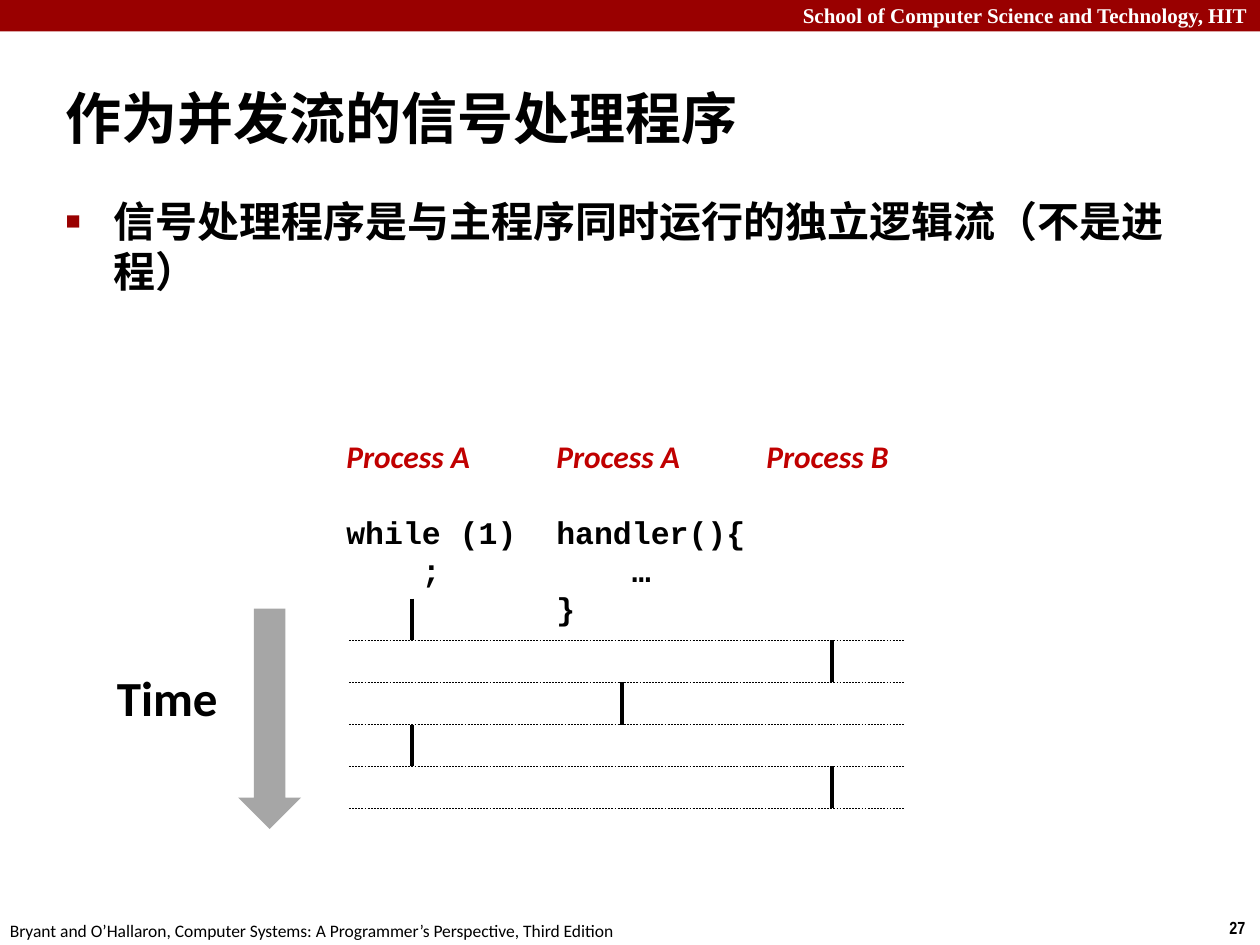
from dataclasses import dataclass

from lxml.etree import SubElement
from pptx import Presentation
from pptx.dml.color import RGBColor
from pptx.enum.dml import MSO_LINE
from pptx.enum.shapes import MSO_CONNECTOR, MSO_SHAPE
from pptx.enum.text import MSO_ANCHOR, MSO_AUTO_SIZE, PP_ALIGN
from pptx.oxml.ns import qn
from pptx.util import Inches, Pt


@dataclass(frozen=True)
class Theme:
    black: str = "000000"
    white: str = "FFFFFF"
    banner: str = "990000"
    process: str = "C00000"
    arrow: str = "A6A6A6"
    sans: str = "Calibri"
    serif: str = "Times New Roman"
    narrow: str = "Arial Narrow"
    code: str = "Courier New"
    title_size: int = 32
    time_size: int = 28
    body_size: int = 24
    lane_size: int = 18
    header_size: int = 12
    footer_size: int = 10


THEME = Theme()

# Content
HEADER = "School of Computer Science and Technology, HIT"
FOOTER = "Bryant and O’Hallaron, Computer Systems: A Programmer’s Perspective, Third Edition"
PAGE = "27"
TITLE = "作为并发流的信号处理程序"
POINT = "信号处理程序是与主程序同时运行的独立逻辑流（不是进程）"
TIME = "Time"
# Each lane: process name, then code lines as (indent in characters, text)
LANES = [
    ("Process A", [(0, "while (1)"), (4, ";")]),
    ("Process A", [(0, "handler(){"), (4, "…"), (0, "}")]),
    ("Process B", []),
]
RUNNING_LANES = [0, 2, 1, 0, 2]  # lane that runs in each time slot

# Grid
SLIDE_W, SLIDE_H = 10, 7.5
LANE_W = SLIDE_W / 6
LANE_LEFT, LANE_TOP = 2.65, 3.42
BAR_OFFSET = 0.62
SLOT_TOP, SLOT_H = 4.75, 1 / 3
RULE_LEFT, RULE_RIGHT = 2.77, 7.18
CODE_CHAR_W = 0.6 * THEME.lane_size  # points


def add_run(paragraph, text, size, font=THEME.sans, color=THEME.black, bold=True, italic=False):
    run = paragraph.add_run()
    run.text = text
    run.font.size = Pt(size)
    run.font.name = font
    run.font.bold = bold
    run.font.italic = italic
    run.font.color.rgb = RGBColor.from_string(color)


def add_box(slide, left, top, width, height, wrap=True):
    frame = slide.shapes.add_textbox(*map(Inches, (left, top, width, height))).text_frame
    frame.word_wrap = wrap
    return frame


def add_block(slide, preset, left, top, width, height, color):
    block = slide.shapes.add_shape(preset, *map(Inches, (left, top, width, height)))
    block.fill.solid()
    block.fill.fore_color.rgb = RGBColor.from_string(color)
    block.line.fill.background()
    block.shadow.inherit = False


def add_line(slide, x1, y1, x2, y2, width, dash=None):
    connector = slide.shapes.add_connector(
        MSO_CONNECTOR.STRAIGHT, *map(Inches, (x1, y1, x2, y2)))
    connector.line.color.rgb = RGBColor.from_string(THEME.black)
    connector.line.width = Pt(width)
    if dash:
        connector.line.dash_style = dash
    SubElement(connector._element.spPr, qn("a:effectLst"))


def place(placeholder, left, top, width, height, anchor):
    placeholder.left, placeholder.top = Inches(left), Inches(top)
    placeholder.width, placeholder.height = Inches(width), Inches(height)
    frame = placeholder.text_frame
    frame.auto_size = MSO_AUTO_SIZE.NONE
    frame.vertical_anchor = anchor
    frame.paragraphs[0].alignment = PP_ALIGN.LEFT
    return frame.paragraphs[0]


def set_indent(paragraph, margin, first_line=0):
    properties = paragraph._p.get_or_add_pPr()
    properties.set("marL", str(int(margin)))
    properties.set("indent", str(int(first_line)))
    return properties


def add_square_bullet(paragraph):
    properties = set_indent(paragraph, Inches(0.38), -Inches(0.38))
    color = SubElement(properties, qn("a:buClr"))
    SubElement(color, qn("a:srgbClr"), val=THEME.banner)
    SubElement(properties, qn("a:buSzPct"), val="60000")
    SubElement(properties, qn("a:buFont"), typeface="Arial")
    SubElement(properties, qn("a:buChar"), char="■")


def add_frame(slide):
    add_block(slide, MSO_SHAPE.RECTANGLE, 0, 0, SLIDE_W, 0.25, THEME.banner)
    header = add_box(slide, 0, -0.03, SLIDE_W, 0.3).paragraphs[0]
    header.alignment = PP_ALIGN.RIGHT
    add_run(header, HEADER, THEME.header_size, THEME.serif, THEME.white)
    footer = add_box(slide, -0.02, 7.25, 5.08, 0.27, wrap=False).paragraphs[0]
    add_run(footer, FOOTER, THEME.footer_size, bold=False)
    page = add_box(slide, 9.66, 7.23, 0.34, 0.27, wrap=False).paragraphs[0]
    add_run(page, PAGE, THEME.footer_size, THEME.narrow)


def add_lane(slide, index, process, code):
    height = 0.4 + 0.3 * (len(code) + bool(code))
    frame = add_box(slide, LANE_LEFT + index * LANE_W, LANE_TOP, 1.75, height)
    add_run(frame.paragraphs[0], process, THEME.lane_size, color=THEME.process, italic=True)
    for row, (indent, text) in enumerate(code):
        paragraph = frame.add_paragraph()
        set_indent(paragraph, Pt(indent * CODE_CHAR_W))
        if row == 0:
            paragraph.space_before = Pt(22)
        add_run(paragraph, text, THEME.lane_size, THEME.code)


def add_timeline(slide):
    for slot, lane in enumerate(RUNNING_LANES):
        x = LANE_LEFT + BAR_OFFSET + lane * LANE_W
        top = SLOT_TOP + slot * SLOT_H
        bottom = top + SLOT_H
        add_line(slide, x, top, x, bottom, 2)
        add_line(slide, RULE_LEFT, bottom, RULE_RIGHT, bottom, 0.25, MSO_LINE.DASH)
    add_run(add_box(slide, 0.83, 5.25, 1.14, 0.57).paragraphs[0], TIME, THEME.time_size)
    add_block(slide, MSO_SHAPE.DOWN_ARROW, 1.89, 4.83, 0.5, 1.75, THEME.arrow)


def main():
    deck = Presentation()
    deck.slide_width, deck.slide_height = Inches(SLIDE_W), Inches(SLIDE_H)
    slide = deck.slides.add_slide(deck.slide_layouts[1])

    # Header band, footer and page number
    add_frame(slide)

    # Title and point
    title = place(slide.shapes.title, 0.42, 0.42, 8.3, 1.02, MSO_ANCHOR.MIDDLE)
    set_indent(title, Inches(0.13), -Inches(0.13))
    add_run(title, TITLE, THEME.title_size)
    point = place(slide.placeholders[1], 0.42, 1.5, 9.09, 1.42, MSO_ANCHOR.TOP)
    add_square_bullet(point)
    add_run(point, POINT, THEME.body_size)

    # Process lanes and their time slots
    for index, (process, code) in enumerate(LANES):
        add_lane(slide, index, process, code)
    add_timeline(slide)

    deck.save("out.pptx")


if __name__ == "__main__":
    main()
